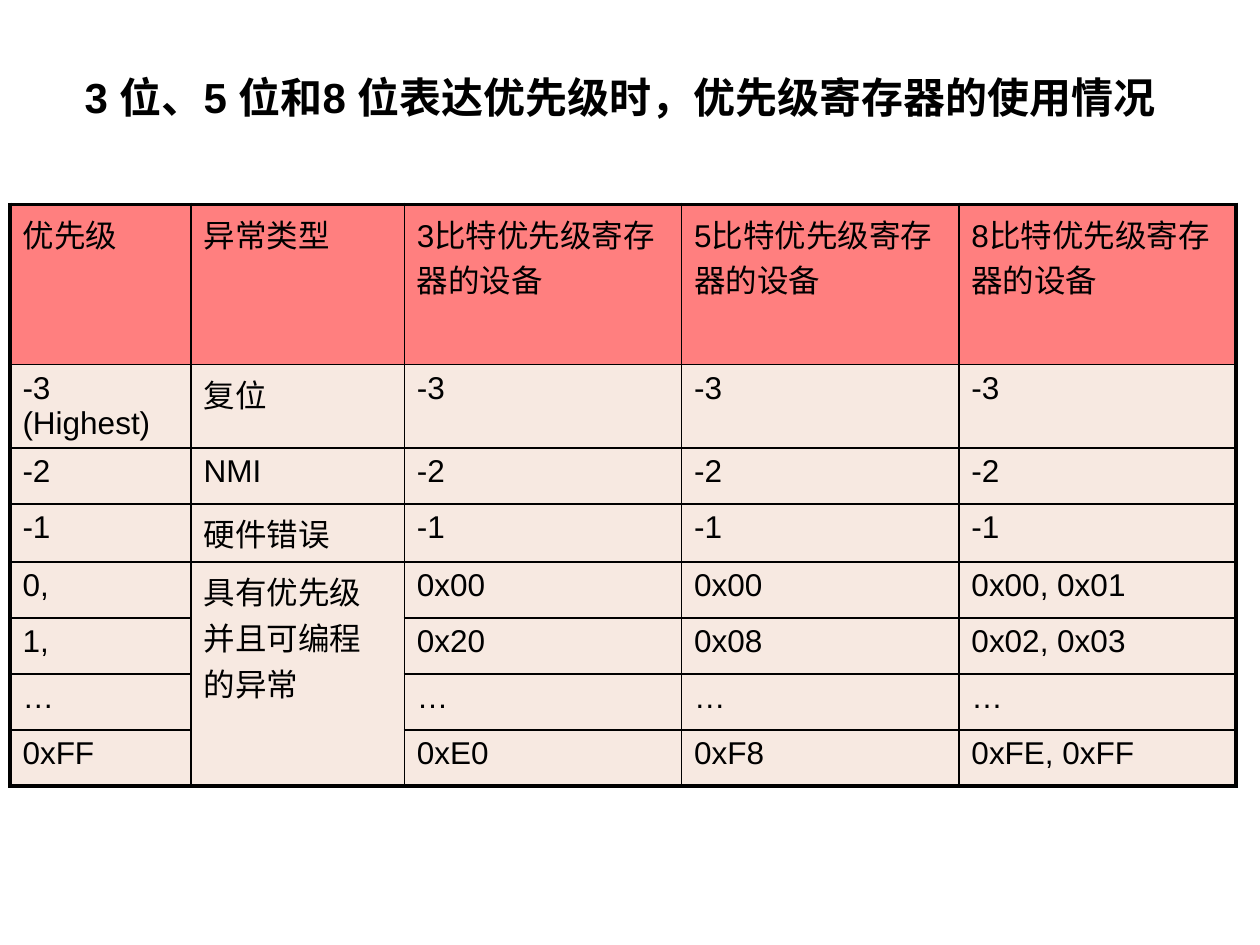
from dataclasses import dataclass

from lxml.etree import SubElement
from pptx import Presentation
from pptx.dml.color import RGBColor
from pptx.enum.text import MSO_ANCHOR, MSO_AUTO_SIZE, PP_ALIGN
from pptx.oxml.ns import qn
from pptx.util import Cm, Pt


@dataclass(frozen=True)
class Theme:
    """Colours, font, type sizes and line widths of the slide."""

    font: str = "Arial"
    ink: str = "000000"
    header_fill: str = "FF0000"
    body_fill: str = "F1D5C5"
    fill_opacity: int = 50
    title_size: int = 24
    cell_size: int = 18
    inner_line: float = 1
    outer_line: float = 2.25


THEME = Theme()
TITLE = "3 位、5 位和8 位表达优先级时，优先级寄存器的使用情况"
PRIORITY_ROWS = [
    ["优先级", "异常类型"] + [f"{bits}比特优先级寄存器的设备" for bits in (3, 5, 8)],
    ["-3 (Highest)", "复位", "-3", "-3", "-3"],
    ["-2", "NMI", "-2", "-2", "-2"],
    ["-1", "硬件错误", "-1", "-1", "-1"],
    ["0,", "具有优先级并且可编程的异常", "0x00", "0x00", "0x00, 0x01"],
    ["1,", "", "0x20", "0x08", "0x02, 0x03"],
    ["…", "", "…", "…", "…"],
    ["0xFF", "", "0xE0", "0xF8", "0xFE, 0xFF"],
]
COLUMN_WIDTHS = [Cm(3.65), Cm(4.3)] + [Cm(5.59)] * 3
HEADER_HEIGHT, ROW_HEIGHT = Cm(3.23), Cm(1.13)
PROGRAMMABLE_ROW, TYPE_COLUMN = 4, 1


def style_text(paragraph, size, bold=False):
    """Apply the theme font and ink to every run of a paragraph."""
    for run in paragraph.runs:
        run.font.name = THEME.font
        run.font.size = Pt(size)
        run.font.bold = bold
        run.font.color.rgb = RGBColor.from_string(THEME.ink)


def add_title(slide):
    """Place and format the slide title."""
    title = slide.shapes.title
    title.left, title.top, title.width, title.height = Cm(1.45), Cm(1.32), Cm(22.86), Cm(1.55)
    frame = title.text_frame
    frame.text = TITLE
    frame.word_wrap = True
    frame.auto_size = MSO_AUTO_SIZE.NONE
    frame.vertical_anchor = MSO_ANCHOR.TOP
    heading = frame.paragraphs[0]
    heading.alignment = PP_ALIGN.LEFT
    style_text(heading, THEME.title_size, bold=True)


def set_borders(cell, outer_sides):
    """Draw all four cell borders, thicker on the outer sides."""
    properties = cell._tc.get_or_add_tcPr()
    for position, side in enumerate("LRTB"):
        width = THEME.outer_line if side in outer_sides else THEME.inner_line
        line = properties.makeelement(qn(f"a:ln{side}"), {"w": str(Pt(width))})
        SubElement(SubElement(line, qn("a:solidFill")), qn("a:srgbClr"), val=THEME.ink)
        properties.insert(position, line)


def set_fill(cell, color):
    """Fill a cell with a translucent colour."""
    cell.fill.solid()
    cell.fill.fore_color.rgb = RGBColor.from_string(color)
    tint = cell._tc.tcPr.find(qn("a:solidFill"))[0]
    SubElement(tint, qn("a:alpha"), val=str(THEME.fill_opacity * 1000))


def outer_sides_of(row, column, last_row, last_column):
    """Return the letters of the cell sides that lie on the table edge."""
    edges = {"L": column == 0, "R": column == last_column, "T": row == 0, "B": row == last_row}
    return [side for side, on_edge in edges.items() if on_edge]


def add_priority_table(slide):
    """Add the table of priority levels by register width."""
    last_row, last_column = len(PRIORITY_ROWS) - 1, len(COLUMN_WIDTHS) - 1
    frame = slide.shapes.add_table(
        last_row + 1, last_column + 1, Cm(0.2), Cm(4.12),
        sum(COLUMN_WIDTHS), HEADER_HEIGHT + last_row * ROW_HEIGHT,
    )
    table = frame.table
    for column, width in zip(table.columns, COLUMN_WIDTHS):
        column.width = width
    for row_index, texts in enumerate(PRIORITY_ROWS):
        is_header = row_index == 0
        table.rows[row_index].height = HEADER_HEIGHT if is_header else ROW_HEIGHT
        for column_index, text in enumerate(texts):
            cell = table.cell(row_index, column_index)
            cell.text_frame.text = text
            style_text(cell.text_frame.paragraphs[0], THEME.cell_size)
            set_fill(cell, THEME.header_fill if is_header else THEME.body_fill)
            set_borders(cell, outer_sides_of(row_index, column_index, last_row, last_column))
    programmable = table.cell(PROGRAMMABLE_ROW, TYPE_COLUMN)
    programmable.merge(table.cell(last_row, TYPE_COLUMN))
    set_borders_bottom = programmable._tc.tcPr.find(qn("a:lnB"))
    set_borders_bottom.set("w", str(Pt(THEME.outer_line)))


def main():
    """Build and save the slide."""
    presentation = Presentation()
    presentation.slide_width, presentation.slide_height = Cm(25.4), Cm(19.05)
    slide = presentation.slides.add_slide(presentation.slide_layouts[5])
    add_title(slide)
    add_priority_table(slide)
    presentation.save("out.pptx")


if __name__ == "__main__":
    main()
